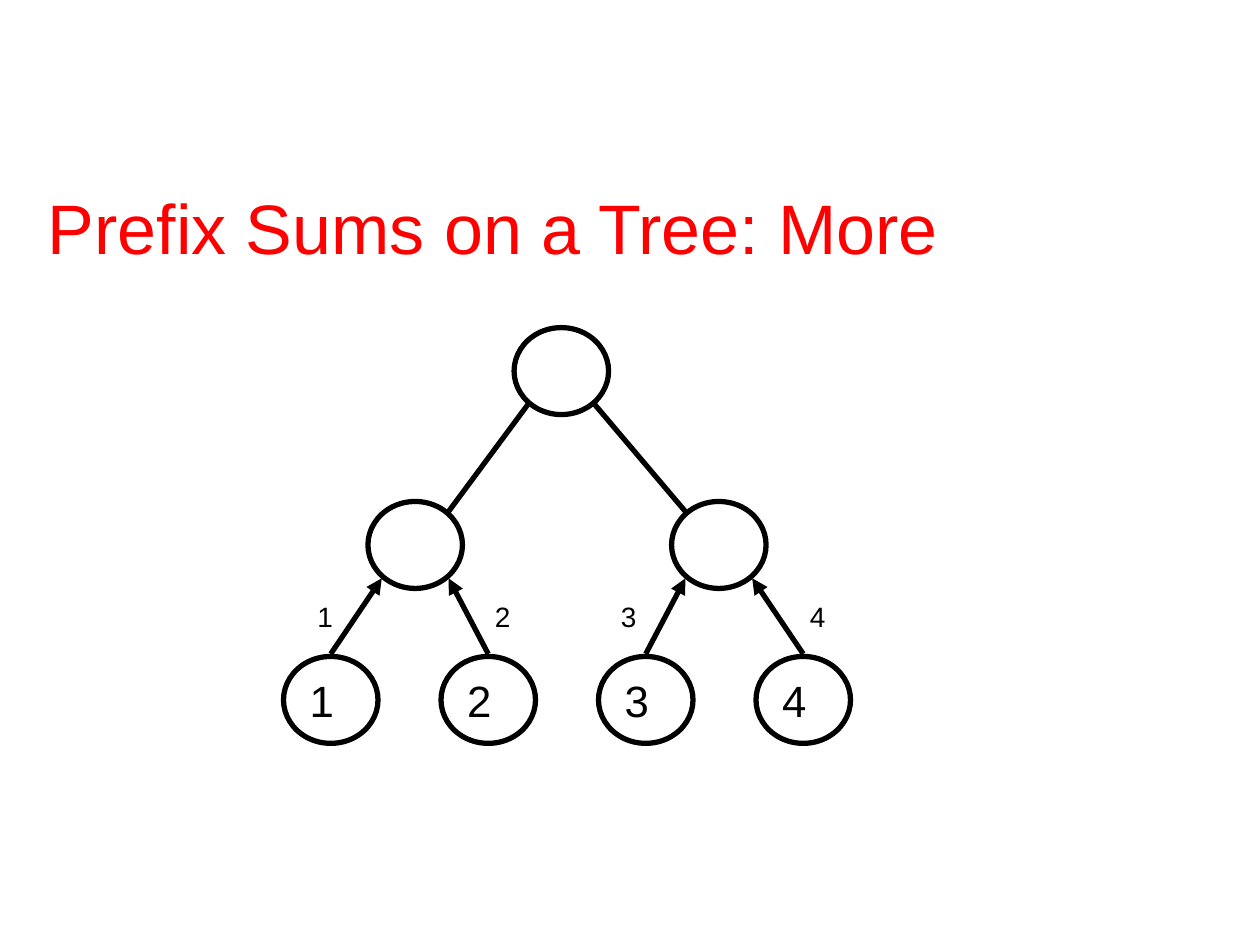
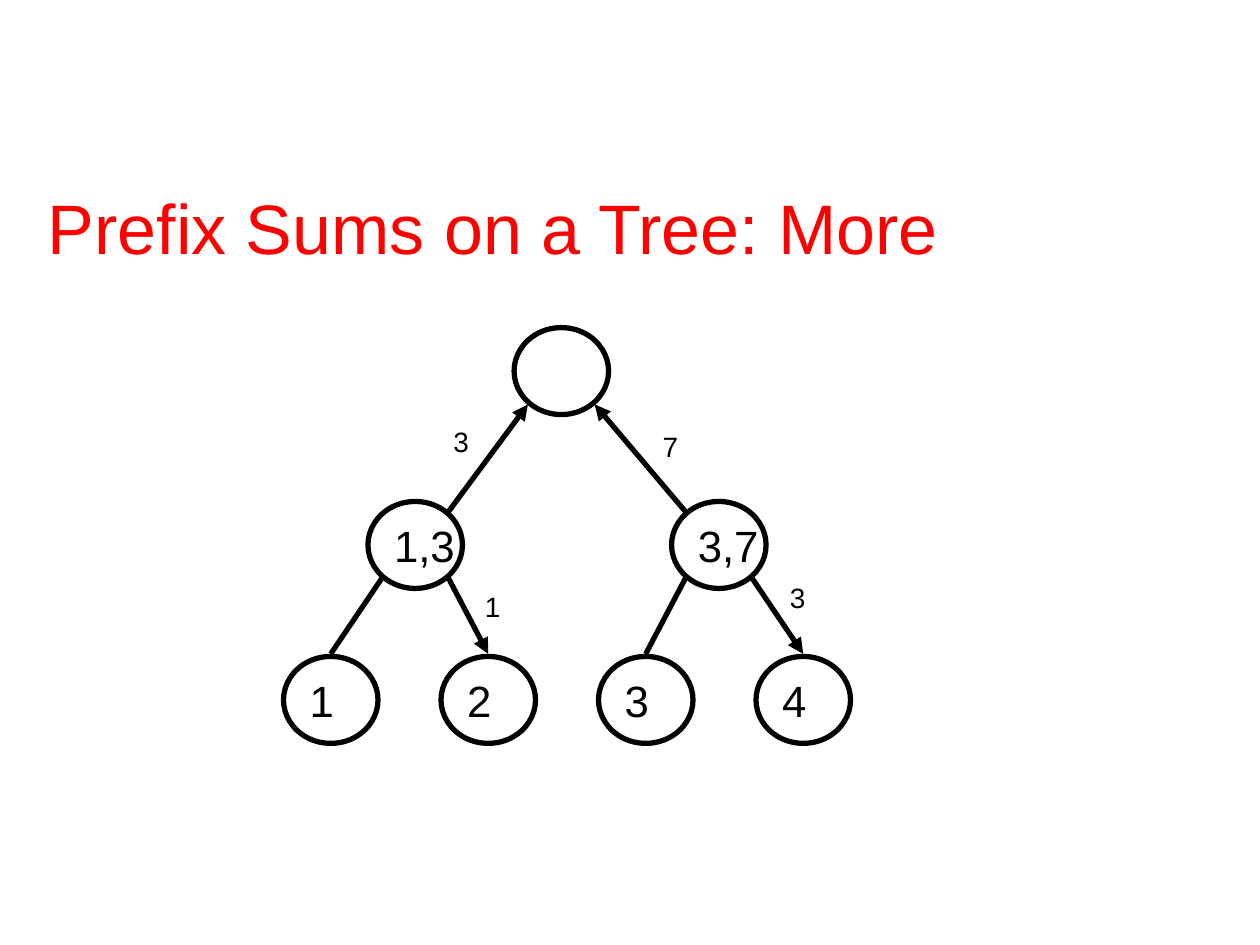
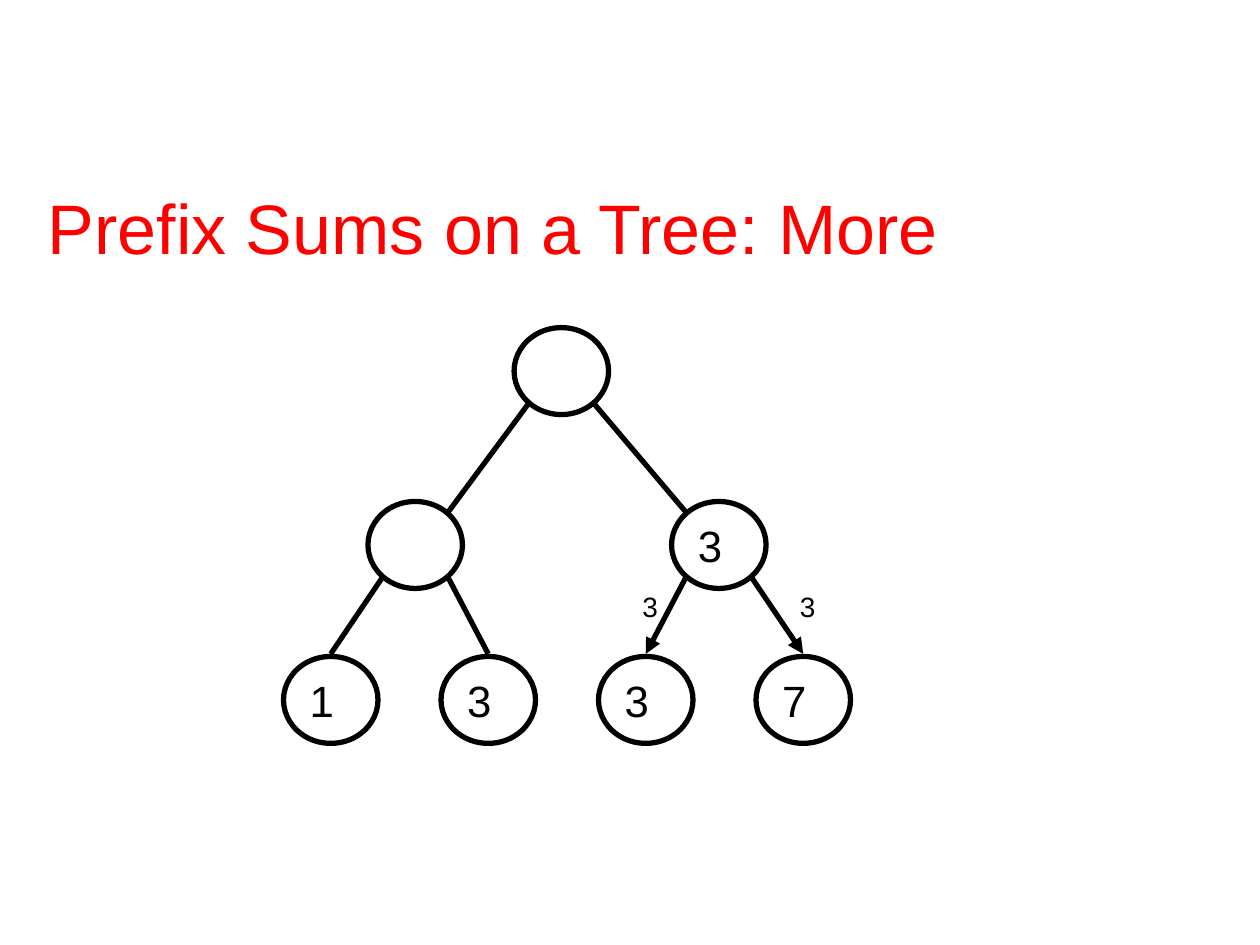
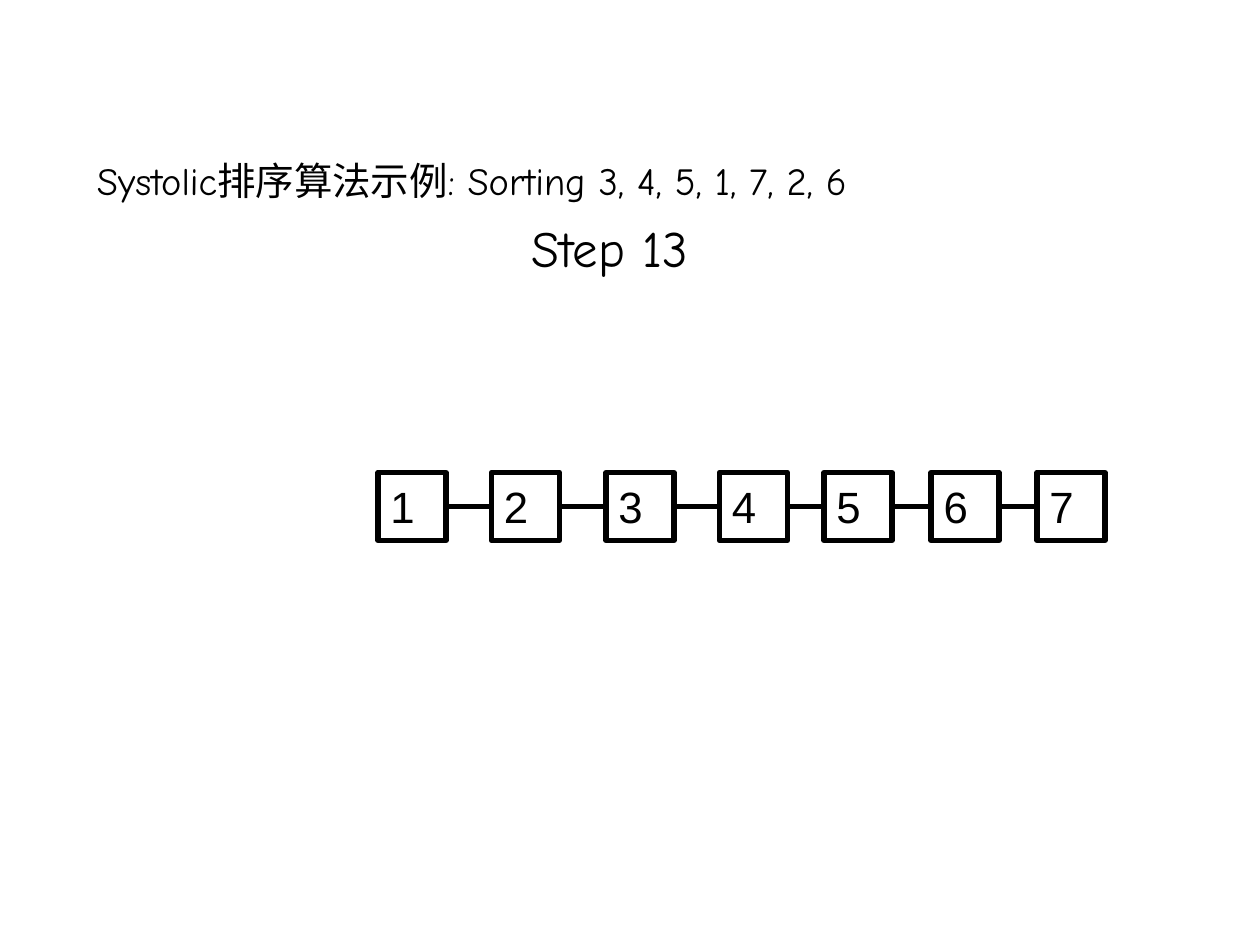
from pptx import Presentation
from pptx.dml.color import RGBColor
from pptx.enum.shapes import MSO_CONNECTOR, MSO_SHAPE
from pptx.enum.text import MSO_ANCHOR, MSO_AUTO_SIZE, PP_ALIGN
from pptx.oxml.ns import qn
from pptx.util import Inches, Pt
from lxml.etree import SubElement

# Shared style
BLACK, RED = "000000", "FF0000"
SANS, HAND = "Arial", "Comic Neue"
LINE_WIDTH = 3

# Tree geometry: top-left corner of every node
NODE_WIDTH, NODE_HEIGHT = 0.75, 0.69
NODES = {
    "leaf 1": (2.25, 5.21), "leaf 2": (3.5, 5.21),
    "leaf 3": (4.75, 5.21), "leaf 4": (6, 5.21),
    "left": (2.92, 3.98), "right": (5.33, 3.98),
    "root": (4.08, 2.6),
}
CHILDREN = {
    "root": ("left", "right"),
    "left": ("leaf 1", "leaf 2"),
    "right": ("leaf 3", "leaf 4"),
}
CORNER_X, CORNER_Y = 0.11, 0.08  # where diagonal edges touch an ellipse

# Tree slides: node values, arrows by child node, labels as (text, left, top)
TREE_STEPS = [
    {
        "values": {"leaf 1": "1", "leaf 2": "2", "leaf 3": "3", "leaf 4": "4"},
        "arrows": {f"leaf {number}": "up" for number in range(1, 5)},
        "labels": [("1", 2.42, 4.71), ("2", 3.83, 4.71),
                   ("3", 4.83, 4.71), ("4", 6.33, 4.71)],
    },
    {
        "values": {"leaf 1": "1", "leaf 2": "2", "leaf 3": "3", "leaf 4": "4",
                   "left": "1,3", "right": "3,7"},
        "arrows": {"left": "up", "right": "up",
                   "leaf 2": "down", "leaf 4": "down"},
        "labels": [("1", 3.75, 4.63), ("3", 6.17, 4.56),
                   ("3", 3.5, 3.32), ("7", 5.16, 3.36)],
    },
    {
        "values": {"leaf 1": "1", "leaf 2": "3", "leaf 3": "3", "leaf 4": "7",
                   "right": "3"},
        "arrows": {"leaf 3": "down", "leaf 4": "down"},
        "labels": [("3", 5, 4.63), ("3", 6.25, 4.63)],
    },
]

# Sorting array
CELL_LEFTS = [3, 3.9, 4.81, 5.71, 6.54, 7.39, 8.23]
CELL_TOP, CELL_SIZE, CELL_GAP = 3.75, 0.54, 0.02


def color(value):
    return RGBColor.from_string(value)


def add_run(paragraph, text, size, font=SANS, fill=BLACK):
    paragraph.alignment = PP_ALIGN.LEFT
    run = paragraph.add_run()
    run.text = text
    run.font.name = font
    run.font.size = Pt(size)
    run.font.color.rgb = color(fill)


def set_frame(frame, anchor, wrap, inset_x=0.1, inset_y=0.05):
    frame.auto_size = MSO_AUTO_SIZE.NONE
    frame.word_wrap = wrap
    frame.vertical_anchor = anchor
    frame.margin_left = frame.margin_right = Inches(inset_x)
    frame.margin_top = frame.margin_bottom = Inches(inset_y)


def add_titled_slide(presentation, left, top, width, height):
    """Add a title-only slide and return it with its placed title."""
    slide = presentation.slides.add_slide(presentation.slide_layouts[5])
    title = slide.shapes.title
    title.left, title.top = Inches(left), Inches(top)
    title.width, title.height = Inches(width), Inches(height)
    return slide, title.text_frame


def add_outlined(slide, preset, left, top, width, height, text=""):
    shape = slide.shapes.add_shape(
        preset, Inches(left), Inches(top), Inches(width), Inches(height))
    shape.shadow.inherit = False
    shape.fill.background()
    shape.line.color.rgb = color(BLACK)
    shape.line.width = Pt(LINE_WIDTH)
    if text:
        set_frame(shape.text_frame, MSO_ANCHOR.MIDDLE, False)
        add_run(shape.text_frame.paragraphs[0], text, 25)


def add_line(slide, start, end, arrow=False):
    connector = slide.shapes.add_connector(
        MSO_CONNECTOR.STRAIGHT, *map(Inches, (*start, *end)))
    connector.line.color.rgb = color(BLACK)
    connector.line.width = Pt(LINE_WIDTH)
    if arrow:
        SubElement(connector.line._get_or_add_ln(), qn("a:tailEnd"), type="triangle")
    SubElement(connector._element.spPr, qn("a:effectLst"))


def add_label(slide, text, left, top):
    box = slide.shapes.add_textbox(
        Inches(left), Inches(top), Inches(0.32), Inches(0.37))
    set_frame(box.text_frame, MSO_ANCHOR.TOP, False)
    add_run(box.text_frame.paragraphs[0], text, 16)


def edge_points(parent, side, child):
    """Return the child end and the parent end of an edge (side 0 is left)."""
    parent_left, parent_top = NODES[parent]
    child_left, child_top = NODES[child]
    offsets = (CORNER_X, NODE_WIDTH - CORNER_X)
    parent_end = (parent_left + offsets[side], parent_top + NODE_HEIGHT - CORNER_Y)
    if child in CHILDREN:
        child_end = (child_left + offsets[1 - side], child_top + CORNER_Y)
    else:
        child_end = (child_left + NODE_WIDTH / 2, child_top - 0.02)
    return child_end, parent_end


def add_tree_slide(presentation, step):
    slide, title = add_titled_slide(presentation, 0.28, 1.22, 9, 1.15)
    set_frame(title, MSO_ANCHOR.MIDDLE, True)
    add_run(title.paragraphs[0], "Prefix Sums on a Tree: More", 40, fill=RED)
    # Nodes
    for name, (left, top) in NODES.items():
        add_outlined(slide, MSO_SHAPE.OVAL, left, top, NODE_WIDTH, NODE_HEIGHT,
                     step["values"].get(name, ""))
    # Edges, with arrows where a value travels
    for parent, children in CHILDREN.items():
        for side, child in enumerate(children):
            start, end = edge_points(parent, side, child)
            direction = step["arrows"].get(child)
            if direction == "down":
                start, end = end, start
            add_line(slide, start, end, arrow=direction is not None)
    # Travelling values
    for label in step["labels"]:
        add_label(slide, *label)


def add_sorting_slide(presentation):
    slide, title = add_titled_slide(presentation, 0.71, 1.22, 7.56, 1.02)
    set_frame(title, MSO_ANCHOR.TOP, True, 0.06, 0.03)
    add_run(title.paragraphs[0],
            "Systolic排序算法示例: Sorting 3, 4, 5, 1, 7, 2, 6", 22, HAND)
    step = title.add_paragraph()
    step.space_before = Pt(7.3)
    step._p.get_or_add_pPr().set("marL", str(Inches(3.45)))
    add_run(step, "Step 13", 29, HAND)
    # Sorted cells
    for number, left in enumerate(CELL_LEFTS, start=1):
        add_outlined(slide, MSO_SHAPE.RECTANGLE, left, CELL_TOP,
                     CELL_SIZE, CELL_SIZE, str(number))
    # Links between neighbours
    middle = CELL_TOP + CELL_SIZE / 2
    for left, following in zip(CELL_LEFTS, CELL_LEFTS[1:]):
        add_line(slide, (left + CELL_SIZE + CELL_GAP, middle),
                 (following - CELL_GAP, middle))


def main():
    presentation = Presentation()
    presentation.slide_width = Inches(10)
    presentation.slide_height = Inches(7.5)
    for step in TREE_STEPS:
        add_tree_slide(presentation, step)
    add_sorting_slide(presentation)
    presentation.save("out.pptx")


if __name__ == "__main__":
    main()
